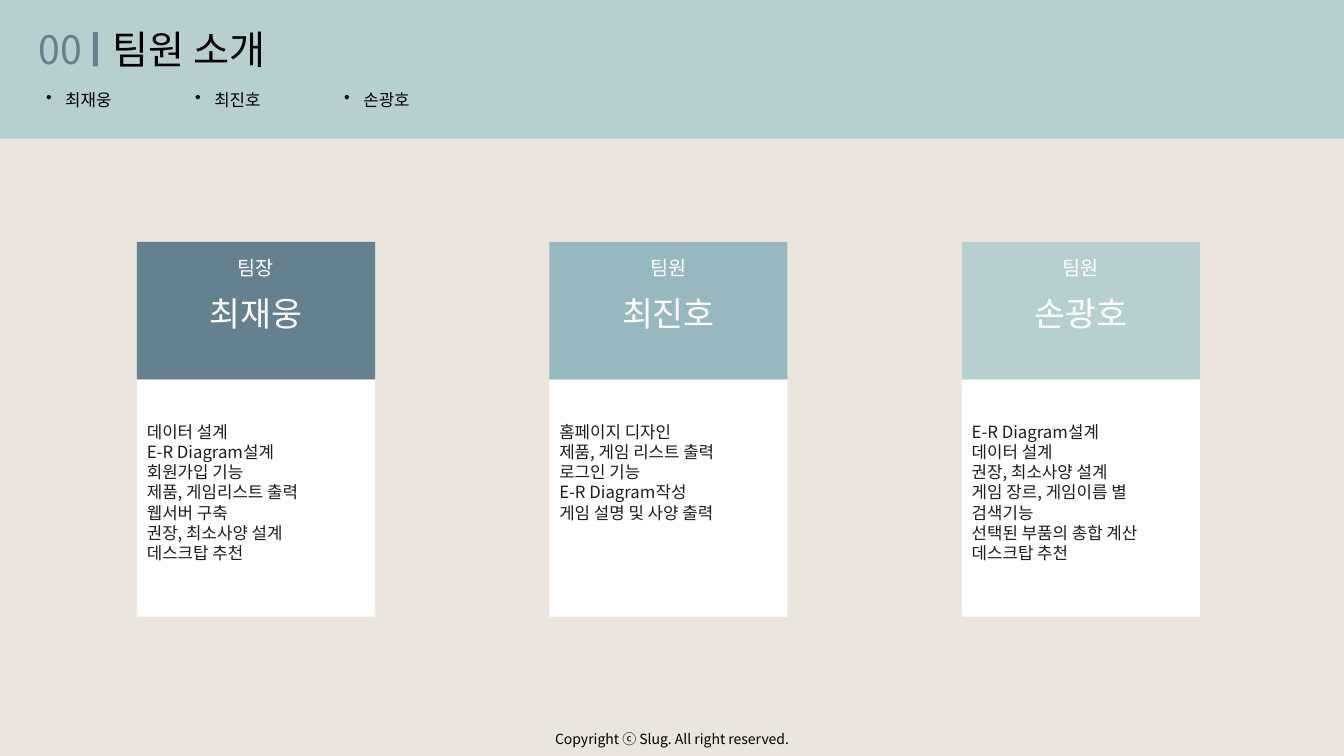
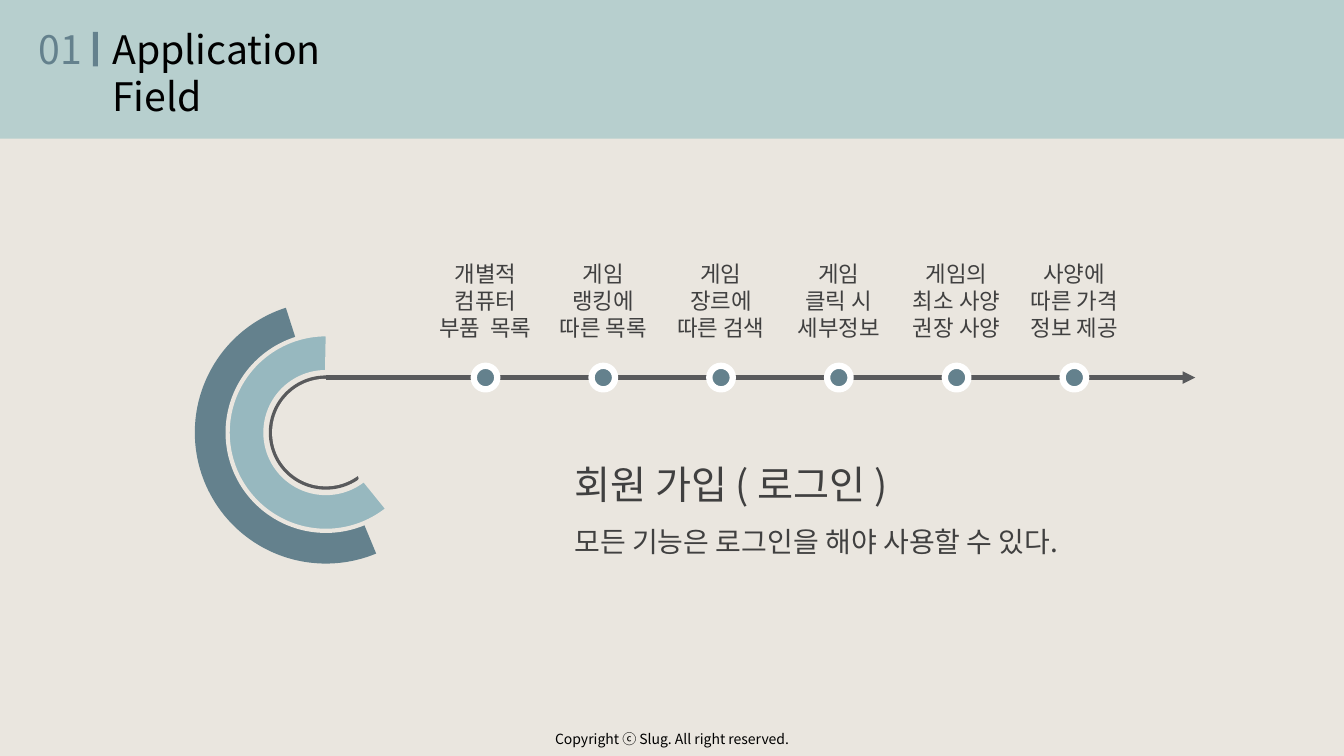
from dataclasses import dataclass

from lxml.etree import SubElement
from pptx import Presentation
from pptx.dml.color import RGBColor
from pptx.enum.shapes import MSO_CONNECTOR as Connector, MSO_SHAPE as Preset
from pptx.enum.text import MSO_AUTO_SIZE as AutoSize, PP_ALIGN as Align
from pptx.oxml.ns import qn
from pptx.util import Inches, Pt


@dataclass(frozen=True)
class Theme:
    font: str = "Noto Sans CJK KR"
    # Colours
    paper: str = "EAE6DF"
    pale: str = "B7CFCE"
    mid: str = "97B8BF"
    deep: str = "64818D"
    white: str = "FFFFFF"
    dial_fill: str = "F4F4F4"
    rule: str = "595A5C"
    black: str = "000000"
    body: str = "1D1D1D"
    label: str = "404040"
    # Type sizes
    title: int = 28
    name: int = 24
    lead: int = 20
    caption: int = 16
    role: int = 14
    text: int = 12
    footer: int = 10


THEME = Theme()
COLUMNS, ROWS = 160, 90
CELL = Inches(7.5) / ROWS


@dataclass(frozen=True)
class Box:
    """A rectangle in grid columns and rows."""
    left: float
    top: float
    width: float
    height: float

    def inner(self, left, top, width, height):
        return Box(self.left + left, self.top + top, width, height)

    def centred(self, size):
        return self.inner((self.width - size) / 2, (self.height - size) / 2, size, size)

    def emu(self):
        return [grid(value) for value in (self.left, self.top, self.width, self.height)]


PAGE = Box(0, 0, COLUMNS, ROWS)
HEADER = Box(0, 0, COLUMNS, 16.5)
FOOTER = Box(59.25, 86.4, 41.5, 3.2)


def grid(cells):
    return round(cells * CELL)


def colour(value):
    return RGBColor.from_string(value)


# Basic parts

def add_shape(slide, preset, box, fill, line=None, weight=0):
    shape = slide.shapes.add_shape(preset, *box.emu())
    shape.shadow.inherit = False
    shape.fill.solid()
    shape.fill.fore_color.rgb = colour(fill)
    if line:
        shape.line.color.rgb = colour(line)
        shape.line.width = Pt(weight)
    else:
        shape.line.fill.background()
    return shape


def add_bullet(paragraph):
    properties = paragraph._p.get_or_add_pPr()
    indent = Inches(0.19)
    properties.set("marL", str(indent))
    properties.set("indent", str(-indent))
    SubElement(properties, qn("a:buChar")).set("char", "•")


def add_text(slide, box, lines, size, ink, align=Align.LEFT, bullet=False):
    frame = slide.shapes.add_textbox(*box.emu()).text_frame
    for name, value in {"word_wrap": True, "auto_size": AutoSize.SHAPE_TO_FIT_TEXT}.items():
        setattr(frame, name, value)
    formats = {"name": THEME.font, "size": Pt(size)}
    for index, line in enumerate(lines):
        paragraph = frame.add_paragraph() if index else frame.paragraphs[0]
        paragraph.alignment = align
        if bullet:
            add_bullet(paragraph)
        run = paragraph.add_run()
        run.text = line
        for name, value in formats.items():
            setattr(run.font, name, value)
        run.font.color.rgb = colour(ink)
        SubElement(run._r.get_or_add_rPr(), qn("a:ea")).set("typeface", THEME.font)


def add_arrow(slide, start, end, y):
    arrow = slide.shapes.add_connector(
        Connector.STRAIGHT, grid(start), grid(y), grid(end), grid(y))
    arrow.line.color.rgb = colour(THEME.rule)
    arrow.line.width = Pt(3)
    properties = arrow._element.spPr
    SubElement(properties.find(qn("a:ln")), qn("a:tailEnd")).set("type", "triangle")
    SubElement(properties, qn("a:effectLst"))


# Shared frame of every slide

def add_header(slide, box, number, title):
    add_shape(slide, Preset.RECTANGLE, box, THEME.pale)
    add_text(slide, box.inner(3.4, 2.4, 8.9, 6.8), [number], THEME.title, THEME.deep)
    add_text(slide, box.inner(12.2, 2.4, 35.4, 6.8 * len(title)), title,
             THEME.title, THEME.black)
    add_shape(slide, Preset.RECTANGLE, box.inner(11.05, 3.8, 0.6, 4.1), THEME.deep)


def add_page(presentation, number, title):
    slide = presentation.slides.add_slide(presentation.slide_layouts[6])
    slide.background.fill.solid()
    slide.background.fill.fore_color.rgb = colour(THEME.paper)
    add_header(slide, HEADER, number, title)
    add_text(slide, FOOTER, ["Copyright ⓒ Slug. All right reserved."],
             THEME.footer, THEME.black, Align.CENTER)
    return slide


# Team slide

MEMBERS = [
    ("팀장", "최재웅", THEME.deep,
     ["데이터 설계", "E-R Diagram설계", "회원가입 기능", "제품, 게임리스트 출력",
      "웹서버 구축", "권장, 최소사양 설계", "데스크탑 추천"]),
    ("팀원", "최진호", THEME.mid,
     ["홈페이지 디자인", "제품, 게임 리스트 출력", "로그인 기능",
      "E-R Diagram작성", "게임 설명 및 사양 출력"]),
    ("팀원", "손광호", THEME.pale,
     ["E-R Diagram설계", "데이터 설계", "권장, 최소사양 설계",
      "게임 장르, 게임이름 별 검색기능", "선택된 부품의 총합 계산", "데스크탑 추천"]),
]


def add_member_card(slide, box, role, name, fill, tasks):
    head = 16.4
    add_shape(slide, Preset.RECTANGLE, box.inner(0, 0, box.width, head), fill)
    add_shape(slide, Preset.RECTANGLE,
              box.inner(0, head, box.width, box.height - head), THEME.white)
    add_text(slide, box.inner(0, 1.1, box.width, 4.1), [role],
             THEME.role, THEME.white, Align.CENTER)
    add_text(slide, box.inner(0, 5.5, box.width, 6), [name],
             THEME.name, THEME.white, Align.CENTER)
    add_text(slide, box.inner(0, 20.8, box.width, 18.1), tasks, THEME.text, THEME.body)


def build_team(presentation):
    slide = add_page(presentation, "00", ["팀원 소개"])
    for index, (role, name, fill, tasks) in enumerate(MEMBERS):
        add_text(slide, HEADER.inner(4.3 + 17.75 * index, 10.1, 23.4, 3.6), [name],
                 THEME.text, THEME.black, bullet=True)
        card = PAGE.inner(16.3 + 49.1 * index, 28.8, 28.35, 44.6)
        add_member_card(slide, card, role, name, fill, tasks)


# Application slide

FEATURES = [
    ["개별적", "컴퓨터", "부품  목록"],
    ["게임", "랭킹에", "따른 목록"],
    ["게임", "장르에", "따른 검색"],
    ["게임", "클릭 시", "세부정보"],
    ["게임의", "최소 사양", "권장 사양"],
    ["사양에", "따른 가격 정보 제공"],
]
RING = 13.1


def add_dial(slide, box):
    # Concentric layers: diameter, fill, line, start and end in degrees
    layers = [
        (box.width, THEME.deep, None, (67.42, 252.23)),
        (23.4, THEME.mid, THEME.paper, (50.99, 271.11)),
        (14.4, THEME.paper, THEME.paper, None),
        (RING, THEME.dial_fill, THEME.rule, (56.19, 270)),
        (12.3, THEME.paper, THEME.paper, None),
    ]
    for diameter, fill, line, angles in layers:
        preset = Preset.PIE if angles else Preset.OVAL
        shape = add_shape(slide, preset, box.centred(diameter), fill, line, 3)
        for index, degrees in enumerate(angles or ()):
            shape.adjustments[index] = degrees * 0.6


def add_timeline(slide, box, features):
    # The arrow runs along the bottom edge of the box
    axis = box.top + box.height
    add_arrow(slide, box.left, box.left + box.width, axis)
    dot, label = 2.8, 13.9
    for index, lines in enumerate(features):
        centre = 19 + 14.02 * index
        add_shape(slide, Preset.OVAL,
                  box.inner(centre - dot / 2, box.height - dot / 2, dot, dot),
                  THEME.deep, THEME.white, 4.5)
        add_text(slide, box.inner(centre - label / 2, 0, label, 10.9), lines,
                 THEME.caption, THEME.label, Align.CENTER)


def add_login_note(slide, box):
    add_text(slide, box.inner(0, 0, 43.9, 6.8), ["회원 가입 ( 로그인 )"],
             THEME.title, THEME.label)
    add_text(slide, box.inner(0, 7.6, box.width, 5.3),
             ["모든 기능은 로그인을 해야 사용할 수 있다."],
             THEME.lead, THEME.label, Align.JUSTIFY)


def build_application(presentation):
    slide = add_page(presentation, "01", ["Application", "Field"])
    dial = PAGE.inner(23.2, 35.9, 31.2, 31.2)
    add_dial(slide, dial)
    ring = dial.centred(RING)
    left, top = ring.left + RING / 2, 30.4
    add_timeline(slide, Box(left, top, 103.5, ring.top - top), FEATURES)
    add_login_note(slide, PAGE.inner(67.2, 54.2, 70.3, 12.9))


def main():
    presentation = Presentation()
    presentation.slide_width = grid(COLUMNS)
    presentation.slide_height = grid(ROWS)
    build_team(presentation)
    build_application(presentation)
    presentation.save("out.pptx")


if __name__ == "__main__":
    main()
